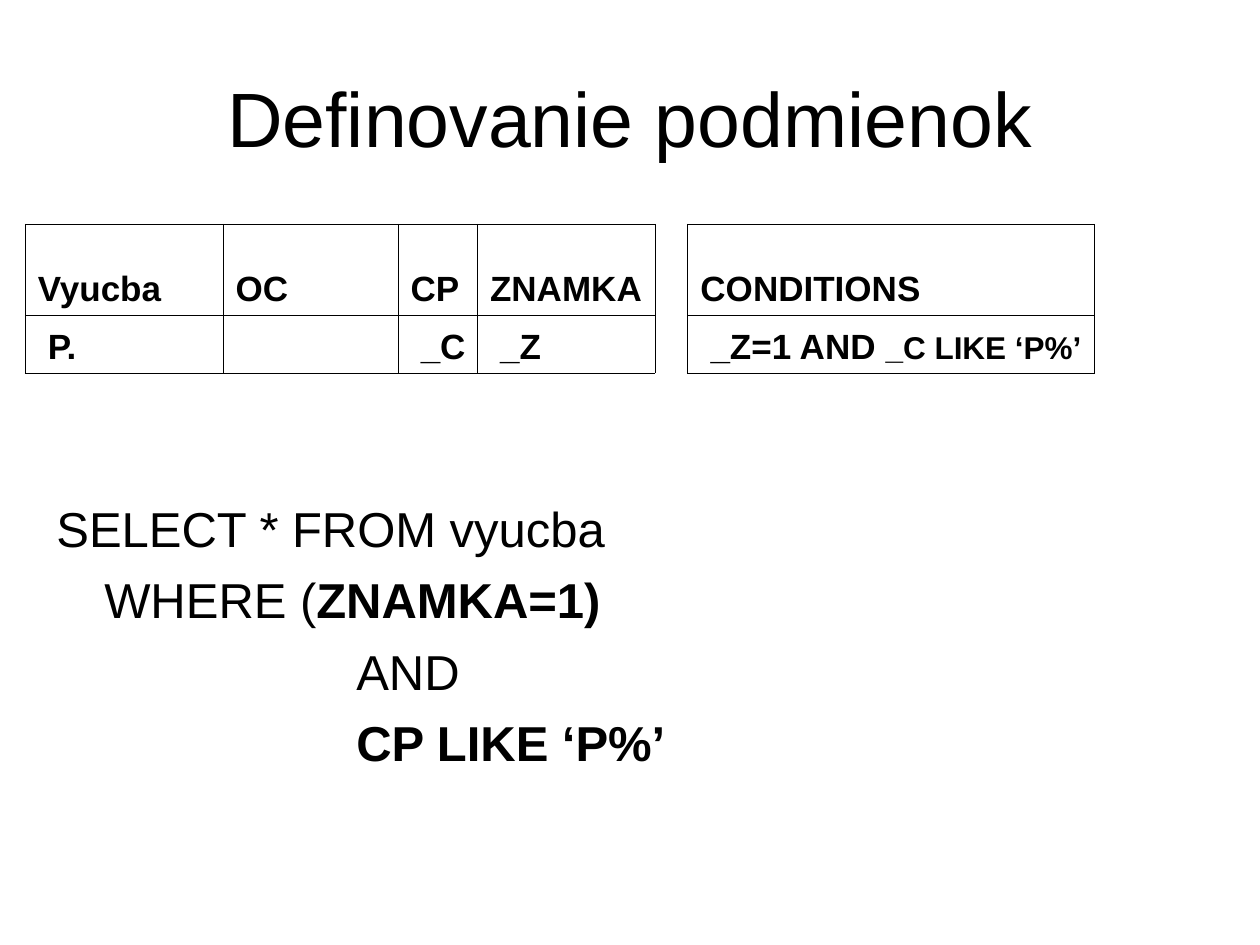
from pptx import Presentation
from pptx.dml.color import RGBColor
from pptx.enum.text import MSO_ANCHOR as Anchor, PP_ALIGN as Align
from pptx.oxml.ns import qn
from pptx.util import Inches, Pt
from lxml.etree import SubElement

COLORS = {"text": "000000", "line": "000000"}
FONT = "Arial"
COLUMNS = [1.57, 1.39, 0.63, 1.41, 0.26, 3.23]
ROWS = [0.72, 0.46]
GAP_COLUMN = 4
CELLS = [
    [["Vyucba"], ["OC"], ["CP"], ["ZNAMKA"], [], ["CONDITIONS"]],
    [["P."], [], ["_C"], ["_Z"], [], ["_Z=1 AND ", "_C LIKE ‘P%’"]],
]
QUERY = [
    (0, [("SELECT * FROM vyucba", False)]),
    (0.38, [("WHERE (", False), ("ZNAMKA=1)", True)]),
    (2.38, [("AND", False)]),
    (2.38, [("CP LIKE ‘P%’", True)]),
]


def add_run(p, text, size, bold=False):
    r = p.add_run()
    r.text = text
    r.font.name = FONT
    r.font.size = Pt(size)
    r.font.bold = bold
    r.font.color.rgb = RGBColor.from_string(COLORS["text"])


def add_text_frame(s, left, top, width, height):
    tf = s.shapes.add_textbox(Inches(left), Inches(top), Inches(width), Inches(height)).text_frame
    tf.word_wrap = True
    return tf


def add_title(s, left, top, width, height):
    tf = add_text_frame(s, left, top, width, height)
    tf.vertical_anchor = Anchor.MIDDLE
    p = tf.paragraphs[0]
    p.alignment = Align.CENTER
    add_run(p, "Definovanie podmienok", 44)


def set_borders(cell, sides):
    tcPr = cell._tc.get_or_add_tcPr()
    for side in "LRTB":
        ln = SubElement(tcPr, qn(f"a:ln{side}"), w=str(Pt(0.45)))
        if side in sides:
            fill = SubElement(ln, qn("a:solidFill"))
            SubElement(fill, qn("a:srgbClr"), val=COLORS["line"])
        else:
            SubElement(ln, qn("a:noFill"))


def add_example_table(s, left, top, width, height):
    table = s.shapes.add_table(len(ROWS), len(COLUMNS), Inches(left), Inches(top),
                               Inches(width), Inches(height)).table
    table.first_row = False
    table.horz_banding = False
    for column, size in zip(table.columns, COLUMNS):
        column.width = Inches(size)
    for row, size in zip(table.rows, ROWS):
        row.height = Inches(size)
    for i, row in enumerate(CELLS):
        for j, texts in enumerate(row):
            cell = table.cell(i, j)
            set_borders(cell, "LR" if j == GAP_COLUMN else "LRTB")
            cell.fill.background()
            cell.vertical_anchor = Anchor.BOTTOM
            if i > 0 and texts:
                cell.margin_left = Inches(0.18)
                cell.margin_right = Inches(0.05)
            for text, font_size in zip(texts, (20, 18)):
                add_run(cell.text_frame.paragraphs[0], text, font_size, True)


def add_query(s, left, top, width, height):
    tf = add_text_frame(s, left, top, width, height)
    for i, (indent, runs) in enumerate(QUERY):
        p = tf.add_paragraph() if i else tf.paragraphs[0]
        p._p.get_or_add_pPr().set("marL", str(Inches(indent)))
        if i:
            p.space_before = Pt(7)
        for text, bold in runs:
            add_run(p, text, 28, bold)


def main():
    prs = Presentation()
    prs.slide_width = Inches(10)
    prs.slide_height = Inches(7.5)
    s = prs.slides.add_slide(prs.slide_layouts[6])
    add_title(s, 0.5, 0.3, 9, 1.25)
    add_query(s, 0.35, 3.91, 9.06, 2.68)
    add_example_table(s, 0.2, 1.78, sum(COLUMNS), sum(ROWS))
    prs.save("out.pptx")


if __name__ == "__main__":
    main()
